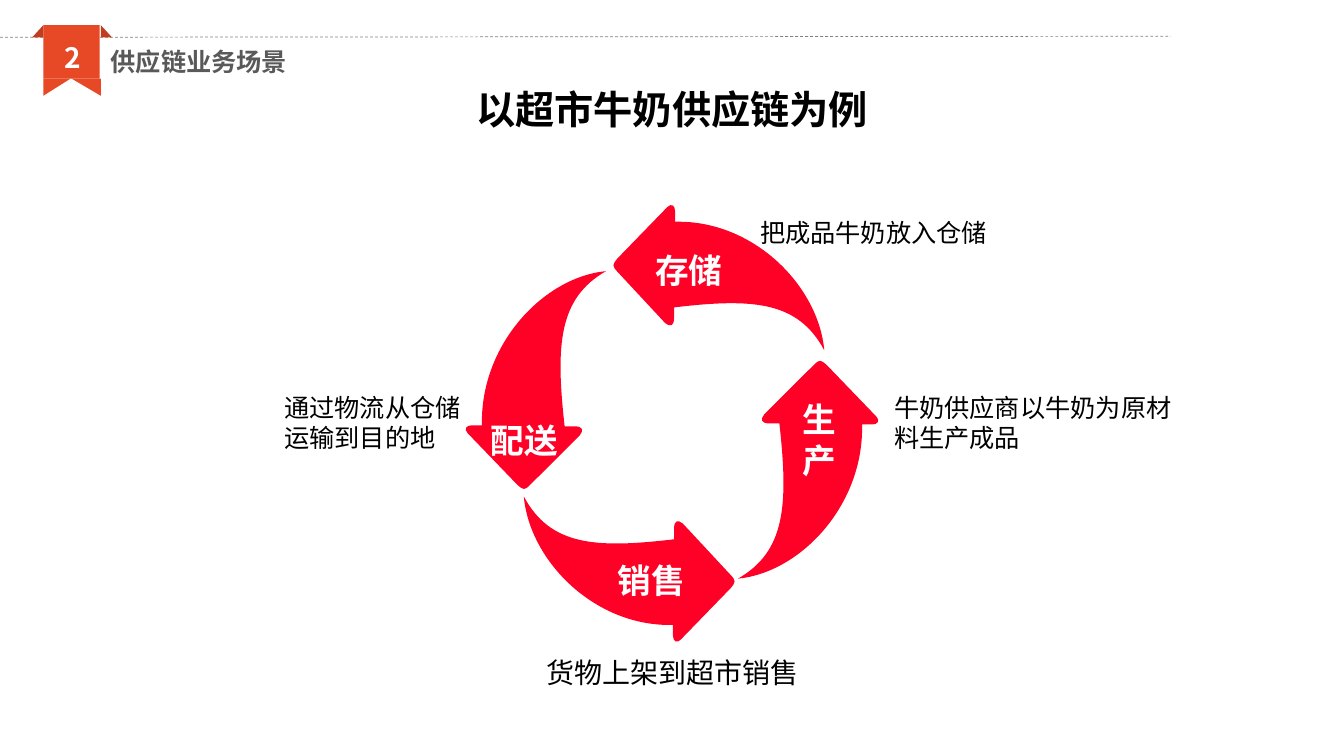
"""Build the supply chain slide: a ribbon header and a ring of four arrows."""
from dataclasses import dataclass
from typing import Optional

import lxml.etree
import pptx
import pptx.dml.color
import pptx.enum.dml
import pptx.enum.shapes
import pptx.enum.text
import pptx.oxml.ns
import pptx.util

SHAPE = pptx.enum.shapes.MSO_SHAPE
ALIGN = pptx.enum.text.PP_ALIGN


@dataclass(frozen=True)
class Theme:
    arrow: str = "FF0126"
    ribbon: str = "E74825"
    fold: str = "C23C20"
    rule: str = "808080"
    heading: str = "595959"
    ink: str = "000000"
    paper: str = "FFFFFF"
    sans: str = "Noto Sans CJK SC"
    label_font: str = "Arial"
    title: int = 28
    label: int = 24
    large: int = 20
    body: int = 18


THEME = Theme()
COLUMNS, ROWS = 1333, 750
CELL = pptx.util.Inches(0.01)


@dataclass(frozen=True)
class Box:
    """Left column, top row, columns wide and rows high."""
    x: int
    y: int
    w: int
    h: int

    def emu(self) -> tuple[int, int, int, int]:
        return self.x * CELL, self.y * CELL, self.w * CELL, self.h * CELL


@dataclass(frozen=True)
class Block:
    box: Box
    kind: SHAPE
    color: str
    rotation: int = 0
    flip: bool = False


@dataclass(frozen=True)
class Arrow:
    box: Box
    rotation: int


@dataclass(frozen=True)
class Text:
    box: Box
    text: str
    size: int = THEME.body
    color: str = THEME.ink
    bold: Optional[bool] = None
    font: str = THEME.sans
    align: Optional[ALIGN] = None


def label(box: Box, text: str) -> Text:
    return Text(box, text, THEME.label, THEME.paper, True, THEME.label_font)


RIBBON = [
    Block(Box(71, 78, 29, 17), SHAPE.RIGHT_TRIANGLE, THEME.ribbon, 180),
    Block(Box(43, 78, 27, 17), SHAPE.RIGHT_TRIANGLE, THEME.ribbon, 180, True),
    Block(Box(43, 25, 56, 53), SHAPE.RECTANGLE, THEME.ribbon),
    Block(Box(100, 25, 11, 12), SHAPE.RIGHT_TRIANGLE, THEME.fold),
    Block(Box(32, 25, 11, 12), SHAPE.RIGHT_TRIANGLE, THEME.fold, flip=True),
]

HEADINGS = [
    Text(Box(100, 41, 466, 40), "供应链业务场景", THEME.body, THEME.heading, True),
    Text(Box(54, 35, 39, 44), "2", THEME.large, THEME.paper, True),
    Text(Box(462, 80, 409, 57), "以超市牛奶供应链为例", THEME.title, bold=True,
         align=ALIGN.CENTER),
]

ARROWS = [
    Arrow(Box(641, 171, 144, 209), 90),
    Arrow(Box(462, 269, 139, 216), 0),
    Arrow(Box(552, 460, 144, 209), 270),
    Arrow(Box(732, 358, 139, 216), 180),
]

ARROW_UNITS = 1000
ARROW_START = (1000, 0)
ARROW_OUTLINE = [
    [(554, 28), (101, 338), (115, 708)],
    [(43, 708)],
    [(0, 708), (-14, 727), (14, 745)],
    [(367, 981)],
    [(410, 1005), (417, 1009), (460, 981)],
    [(813, 755)],
    [(842, 731), (835, 713), (777, 713)],
    [(705, 713)],
    [(640, 338), (662, 125), (1000, 0)],
]

ARROW_PATCH = Block(Box(786, 392, 57, 57), SHAPE.RECTANGLE, THEME.arrow)

LABELS = [
    label(Box(477, 412, 109, 50), "配送"),
    label(Box(640, 243, 109, 50), "存储"),
    label(Box(603, 551, 109, 50), "销售"),
    label(Box(786, 391, 57, 91), "生\n产"),
]

NOTES = [
    Text(Box(877, 384, 312, 71), "牛奶供应商以牛奶为原材料生产成品"),
    Text(Box(744, 211, 254, 40), "把成品牛奶放入仓储"),
    Text(Box(272, 384, 199, 71), "通过物流从仓储运输到目的地"),
    Text(Box(532, 645, 282, 44), "货物上架到超市销售", THEME.large),
]


def rgb(color: str) -> pptx.dml.color.RGBColor:
    return pptx.dml.color.RGBColor.from_string(color)


def add_child(parent, tag: str, **attributes: str):
    return lxml.etree.SubElement(parent, pptx.oxml.ns.qn(tag), attributes)


def paint(sp, color: str, rotation: int) -> None:
    sp.shadow.inherit = False
    sp.fill.solid()
    sp.fill.fore_color.rgb = rgb(color)
    sp.line.fill.background()
    sp.rotation = rotation


def add_block(s, block: Block) -> None:
    sp = s.shapes.add_shape(block.kind, *block.box.emu())
    paint(sp, block.color, block.rotation)
    if block.flip:
        sp.element.spPr.get_or_add_xfrm().set("flipH", "1")


def curve_outline(sp) -> None:
    outline = next(sp.element.iter(pptx.oxml.ns.qn("a:path")))
    outline.set("w", str(ARROW_UNITS))
    outline.set("h", str(ARROW_UNITS))
    lines = outline.findall(pptx.oxml.ns.qn("a:lnTo"))
    for line, points in zip(lines, ARROW_OUTLINE):
        if len(points) == 3:
            line.tag = pptx.oxml.ns.qn("a:cubicBezTo")
        for pt in list(line):
            line.remove(pt)
        for x, y in points:
            add_child(line, "a:pt", x=str(x), y=str(y))


def add_arrow(s, arrow: Arrow) -> None:
    builder = s.shapes.build_freeform(*ARROW_START)
    builder.add_line_segments([points[-1] for points in ARROW_OUTLINE], close=True)
    sp = builder.convert_to_shape()
    sp.left, sp.top, sp.width, sp.height = arrow.box.emu()
    curve_outline(sp)
    start = next(sp.element.iter(pptx.oxml.ns.qn("a:moveTo")))[0]
    start.set("x", str(ARROW_START[0]))
    start.set("y", str(ARROW_START[1]))
    paint(sp, THEME.arrow, arrow.rotation)


def add_text(s, item: Text) -> None:
    tf = s.shapes.add_textbox(*item.box.emu()).text_frame
    tf.word_wrap = True
    tf.auto_size = pptx.enum.text.MSO_AUTO_SIZE.SHAPE_TO_FIT_TEXT
    tf.text = item.text
    for p in tf.paragraphs:
        p.alignment = item.align
        for r in p.runs:
            r.font.size = pptx.util.Pt(item.size)
            r.font.bold = item.bold
            r.font.color.rgb = rgb(item.color)
            r.font.name = item.font
            add_child(r.font._element, "a:ea", typeface=item.font)


def add_rule(s) -> None:
    line = s.shapes.add_connector(pptx.enum.shapes.MSO_CONNECTOR.STRAIGHT,
                                  0, 37 * CELL, 1161 * CELL, 36 * CELL)
    line.line.color.rgb = rgb(THEME.rule)
    line.line.width = pptx.util.Pt(0.5)
    line.line.dash_style = pptx.enum.dml.MSO_LINE.DASH
    add_child(line.element.spPr, "a:effectLst")


def main() -> None:
    prs = pptx.Presentation()
    prs.slide_width, prs.slide_height = COLUMNS * CELL, ROWS * CELL
    s = prs.slides.add_slide(prs.slide_layouts[6])
    add_rule(s)
    for block in RIBBON:
        add_block(s, block)
    for heading in HEADINGS:
        add_text(s, heading)
    for arrow in ARROWS:
        add_arrow(s, arrow)
    add_block(s, ARROW_PATCH)
    for item in LABELS + NOTES:
        add_text(s, item)
    prs.save("out.pptx")


if __name__ == "__main__":
    main()
